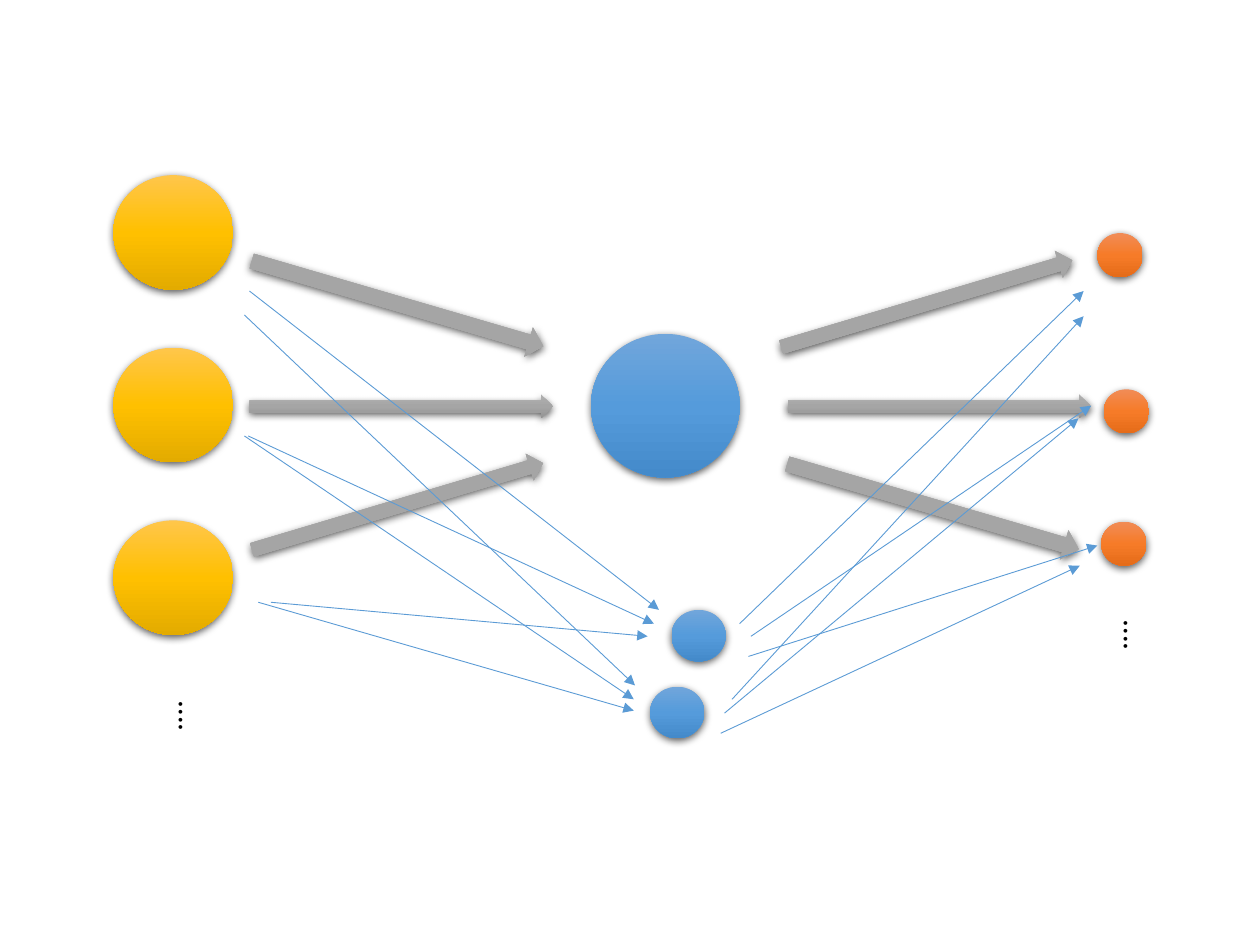
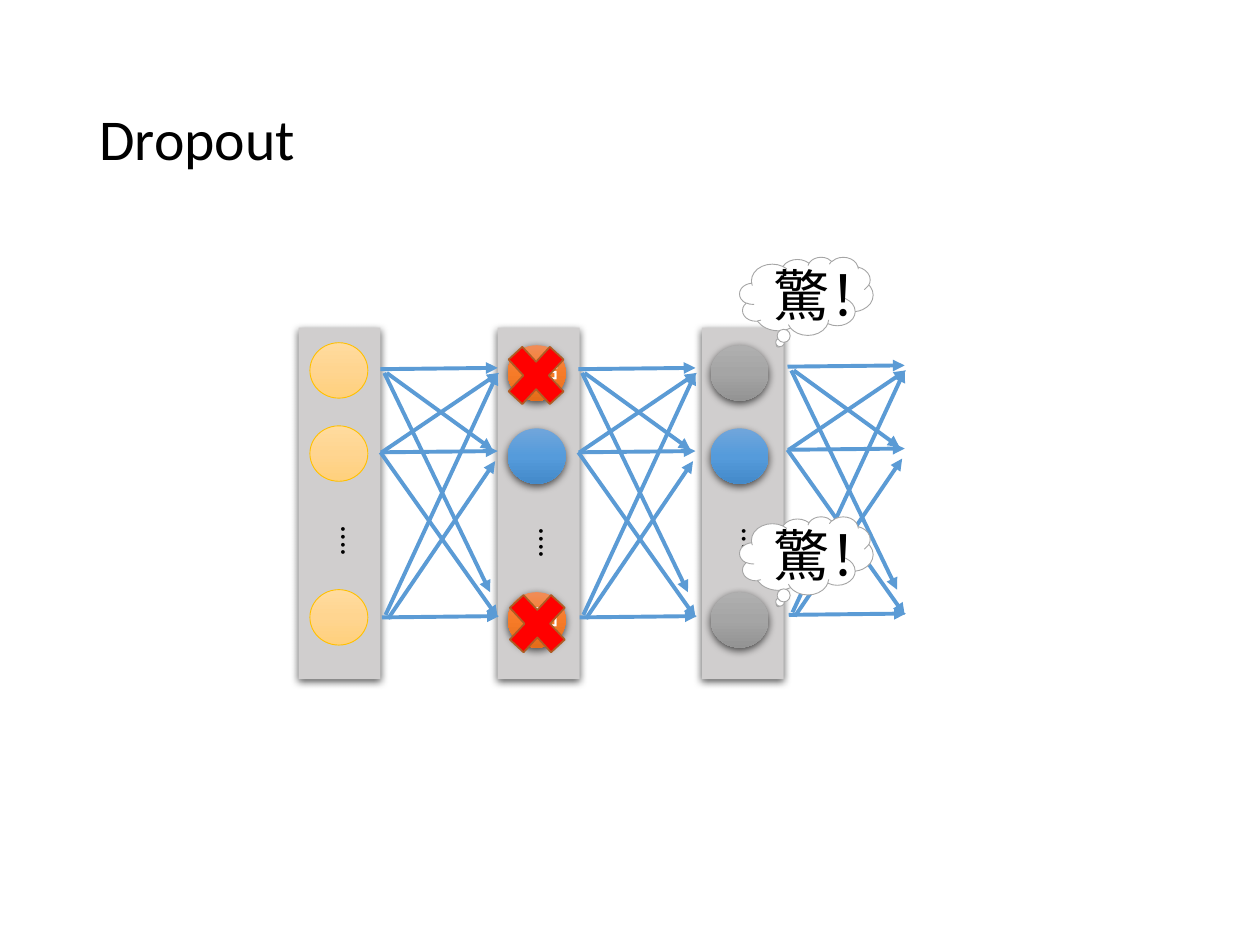
from copy import deepcopy

from lxml import etree
from pptx import Presentation
from pptx.dml.color import RGBColor
from pptx.enum.shapes import MSO_CONNECTOR, MSO_SHAPE
from pptx.enum.text import MSO_ANCHOR, MSO_AUTO_SIZE, PP_ALIGN
from pptx.oxml.ns import qn
from pptx.util import Pt

PX = 9144
FONT = "Calibri"
OVAL, RECTANGLE = MSO_SHAPE.OVAL, MSO_SHAPE.RECTANGLE
ARROW, CROSS, CLOUD = MSO_SHAPE.RIGHT_ARROW, MSO_SHAPE.MATH_MULTIPLY, MSO_SHAPE.CLOUD_CALLOUT
STRAIGHT = MSO_CONNECTOR.STRAIGHT
MIDDLE, CENTER = MSO_ANCHOR.MIDDLE, PP_ALIGN.CENTER
FIT_SHAPE = MSO_AUTO_SIZE.SHAPE_TO_FIT_TEXT

BLACK = RGBColor(0x00, 0x00, 0x00)
WHITE = RGBColor(0xFF, 0xFF, 0xFF)
RED = RGBColor(0xFF, 0x00, 0x00)
RUST = RGBColor(0xAF, 0x5C, 0x24)
SILVER = RGBColor(0xD0, 0xCE, 0xCE)
LINK_BLUE = RGBColor(0x5B, 0x9B, 0xD5)
GOLD = (RGBColor(0xFF, 0xC6, 0x4B), RGBColor(0xFF, 0xC0, 0x00), RGBColor(0xE3, 0xAB, 0x00))
CREAM = (RGBColor(0xFF, 0xDB, 0x9E), RGBColor(0xFF, 0xD5, 0x90), RGBColor(0xFF, 0xD0, 0x7C))
GRAY = (RGBColor(0xAF, 0xAF, 0xAF), RGBColor(0xA5, 0xA5, 0xA5), RGBColor(0x93, 0x93, 0x93))
BLUE = (RGBColor(0x71, 0xA6, 0xDB), RGBColor(0x55, 0x9B, 0xDB), RGBColor(0x44, 0x8A, 0xCA))
ORANGE = (RGBColor(0xF1, 0x8C, 0x57), RGBColor(0xF6, 0x7B, 0x28), RGBColor(0xE5, 0x6C, 0x19))


def add_figure(slide, kind, box, fill, outline=None, weight=0.5, shadow=True, turn=0):
    figure = slide.shapes.add_shape(kind, *(n * PX for n in box))
    figure.rotation = turn
    properties = figure._element.spPr
    if isinstance(fill, RGBColor):
        figure.fill.solid()
        figure.fill.fore_color.rgb = fill
    else:
        figure.fill.gradient()
        figure.fill.gradient_angle = 270
        stops = properties.find(".//" + qn("a:gsLst"))
        stops.insert(1, deepcopy(stops[0]))
        for stop, position, color in zip(figure.fill.gradient_stops, (0, 0.5, 1), fill):
            stop.position = position
            stop.color.rgb = color
    if outline is None:
        figure.line.fill.background()
    else:
        figure.line.color.rgb = outline
        figure.line.width = Pt(weight)
    figure.shadow.inherit = False
    if shadow:
        outer = etree.SubElement(
            properties.find(qn("a:effectLst")), qn("a:outerShdw"),
            blurRad=str(Pt(4.5)), dist=str(Pt(1.5)), dir="5400000", algn="ctr", rotWithShape="0")
        tint = etree.SubElement(outer, qn("a:srgbClr"), val="000000")
        etree.SubElement(tint, qn("a:alpha"), val="63000")
    return figure


def write_text(shape, text, size=18, color=BLACK, align=None, anchor=None,
               spacing=None, wrap=True, vertical=False):
    frame = shape.text_frame
    frame.word_wrap = wrap
    if anchor is not None:
        frame.vertical_anchor = anchor
    if vertical:
        frame.auto_size = FIT_SHAPE
        frame._txBody.bodyPr.set("vert", "eaVert")
    paragraph = frame.paragraphs[0]
    paragraph.alignment = align
    paragraph.line_spacing = spacing
    run = paragraph.add_run()
    run.text = text
    run.font.name = FONT
    run.font.size = Pt(size)
    run.font.color.rgb = color


deck = Presentation()
deck.slide_width, deck.slide_height = 1000 * PX, 750 * PX
blank = deck.slide_layouts[6]
network = deck.slides.add_slide(blank)
dropout = deck.slides.add_slide(blank)

for row in range(3):
    add_figure(network, OVAL, (90, 139 + row * 137, 95, 91), GOLD)

for left, top, height, turn in [
    (198, 313, 19, 0), (195, 229, 24, 16.3), (195, 391, 22, 343.4),
    (620, 390, 24, 16.3), (625, 313, 19, 0), (615, 230, 22, 343.4),
]:
    add_figure(network, ARROW, (left, top, 241, height), GRAY, turn=turn)

for neuron in [(469, 265, 118, 114), (533, 484, 43, 41), (516, 545, 43, 41)]:
    add_figure(network, OVAL, neuron, BLUE)

for left, top in [(871, 185), (876, 309), (874, 414)]:
    add_figure(network, OVAL, (left, top, 36, 35), ORANGE)

title = dropout.shapes.add_textbox(69 * PX, 40 * PX, 862 * PX, 145 * PX)
write_text(title, "Dropout", size=33, anchor=MIDDLE, spacing=0.9)

dots = [(network, 122, 547), (network, 872, 483)]
layers = [
    (237, 246, 272, (CREAM, CREAM, CREAM)),
    (395, 403, 274, (ORANGE, BLUE, ORANGE)),
    (557, 564, 274, (GRAY, BLUE, GRAY)),
]
for layer_left, neuron_left, first_top, fills in layers:
    add_figure(dropout, RECTANGLE, (layer_left, 260, 65, 279), SILVER)
    for fill, step in zip(fills, (0, 66, 196)):
        is_input = fill is CREAM
        neuron = add_figure(dropout, OVAL, (neuron_left, first_top + step, 46, 44), fill,
                            outline=GOLD[1] if is_input else None, shadow=not is_input)
        if fill is ORANGE:
            write_text(neuron, "強", color=WHITE, align=CENTER, anchor=MIDDLE)
    dots.append((dropout, neuron_left + 5, first_top + 136))

for slide, left, top in dots:
    more = slide.shapes.add_textbox(left * PX, top * PX, 50 * PX, 34 * PX)
    write_text(more, "….", wrap=False, vertical=True)

thin_links = [
    (198, 231, 523, 484), (197, 346, 519, 495), (215, 478, 514, 505),
    (194, 250, 504, 544), (194, 346, 503, 555), (205, 478, 503, 564),
    (587, 495, 860, 231), (596, 505, 866, 322), (594, 521, 871, 433),
    (581, 555, 860, 251), (575, 566, 856, 332), (572, 582, 857, 449),
]
layer_links = [
    (302, 293, 395, 292), (302, 359, 395, 358), (303, 490, 396, 489),
    (307, 296, 391, 357), (302, 359, 395, 490), (303, 359, 396, 296),
    (306, 488, 395, 296), (305, 296, 389, 470), (308, 491, 393, 366),
]
thick_links = [
    (x1 + dx, y1 + dy, x2 + dx, y2 + dy)
    for dx, dy in [(0, 0), (157, 0), (323, -2)]
    for x1, y1, x2, y2 in layer_links
]
for slide, links, weight in [(network, thin_links, 0.5), (dropout, thick_links, 2.25)]:
    for ends in links:
        link = slide.shapes.add_connector(STRAIGHT, *(n * PX for n in ends))
        link.line.color.rgb = LINK_BLUE
        link.line.width = Pt(weight)
        properties = link._element.spPr
        etree.SubElement(properties.find(qn("a:ln")), qn("a:tailEnd"), type="triangle")
        etree.SubElement(properties, qn("a:effectLst"))

for left, top in [(394, 264), (395, 461)]:
    add_figure(dropout, CROSS, (left, top, 63, 68), RED, outline=RUST, weight=1, shadow=False)

for top in (204, 410):
    thought = add_figure(dropout, CLOUD, (587, top, 106, 62), WHITE,
                         outline=GRAY[1], shadow=False)
    write_text(thought, "驚！", size=32, align=CENTER, anchor=MIDDLE)

deck.save("out.pptx")
